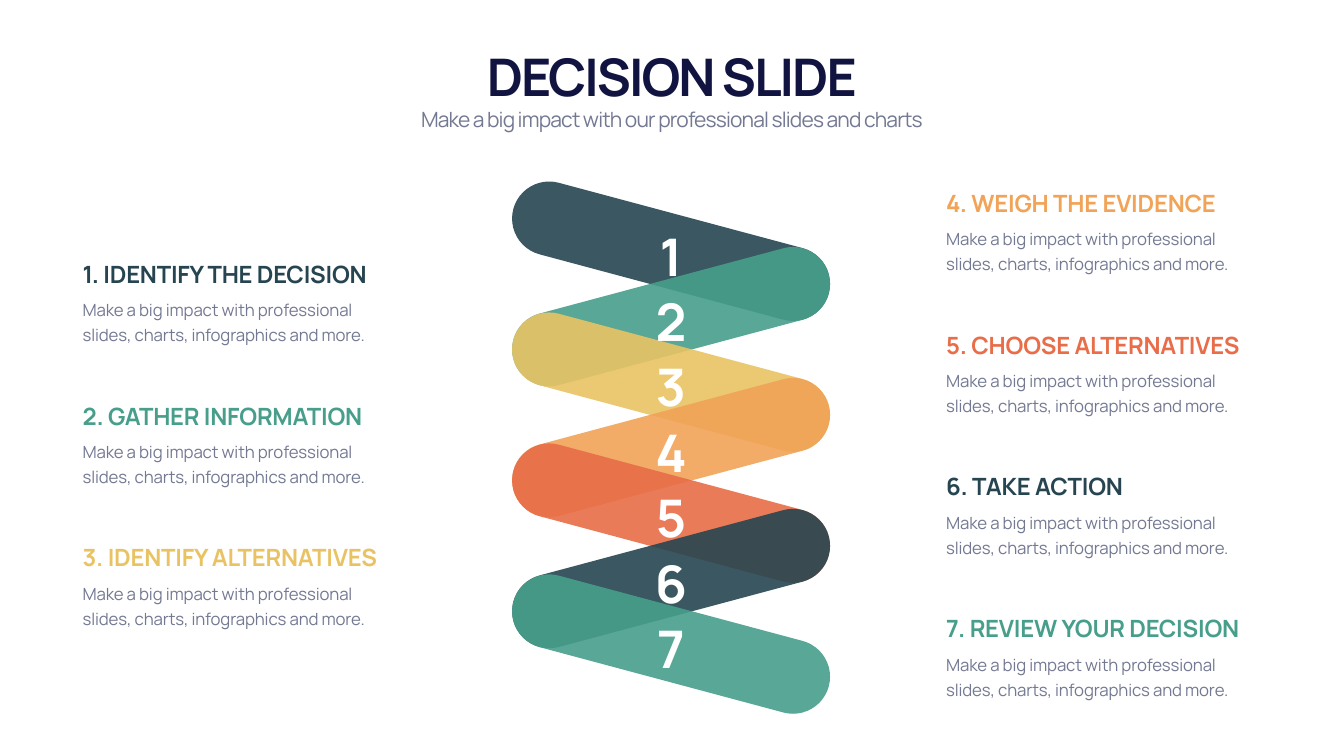
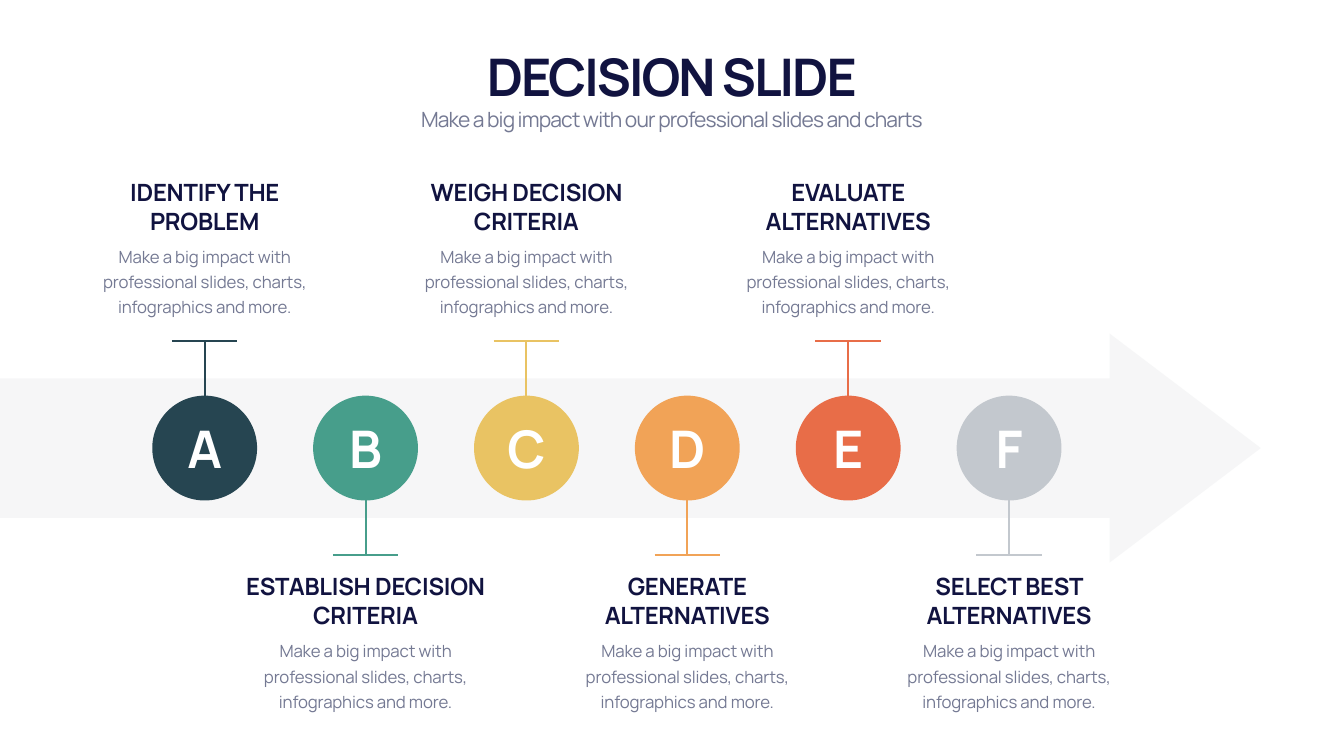
from dataclasses import dataclass

from lxml.etree import SubElement
from pptx import Presentation
from pptx.dml.color import RGBColor
from pptx.enum.shapes import MSO_CONNECTOR, MSO_SHAPE
from pptx.enum.text import MSO_ANCHOR, MSO_AUTO_SIZE, PP_ALIGN
from pptx.oxml.ns import qn
from pptx.util import Inches, Pt

# Slide size, divided into a grid of 100 columns and 100 rows
WIDTH, HEIGHT = Inches(26.66), Inches(15)
COLUMN, ROW = WIDTH / 100, HEIGHT / 100

FONT = "Manrope"
NAVY = RGBColor(0x11, 0x13, 0x40)
GRAY = RGBColor(0x74, 0x79, 0x93)
WHITE = RGBColor(0xFF, 0xFF, 0xFF)
SLATE = RGBColor(0x26, 0x45, 0x51)
GREEN = RGBColor(0x47, 0x9E, 0x8B)
YELLOW = RGBColor(0xE9, 0xC3, 0x63)
ORANGE = RGBColor(0xF1, 0xA3, 0x57)
RED = RGBColor(0xE8, 0x6D, 0x48)
SILVER = RGBColor(0xC3, 0xC8, 0xCE)

# Text formats shared by both slides
TITLE = dict(size=74, color=NAVY, bold=True, spacing=-2.9)
SUBTITLE = dict(size=30, color=GRAY, spacing=-1.2)
HEADING = dict(size=34, bold=True, spacing=-0.3, anchor=MSO_ANCHOR.BOTTOM)
BODY = dict(size=24, color=GRAY, spacing=-0.2, line=36)
SYMBOL = dict(size=74, color=WHITE, bold=True, spacing=-2.9,
              align=PP_ALIGN.CENTER, anchor=MSO_ANCHOR.MIDDLE)
SYMBOL_SIZE = (4.73, 9)

BODY_TEXT = ("Make a big impact with professional slides, charts, "
             "infographics and more.")

STEPS = [
    ("IDENTIFY THE DECISION", SLATE),
    ("GATHER INFORMATION", GREEN),
    ("IDENTIFY ALTERNATIVES", YELLOW),
    ("WEIGH THE EVIDENCE", ORANGE),
    ("CHOOSE ALTERNATIVES", RED),
    ("TAKE ACTION", SLATE),
    ("REVIEW YOUR DECISION", GREEN),
]

MILESTONES = [
    ("A", "IDENTIFY THE PROBLEM", SLATE),
    ("B", "ESTABLISH DECISION CRITERIA", GREEN),
    ("C", "WEIGH DECISION CRITERIA", YELLOW),
    ("D", "GENERATE ALTERNATIVES", ORANGE),
    ("E", "EVALUATE ALTERNATIVES", RED),
    ("F", "SELECT BEST ALTERNATIVES", SILVER),
]


@dataclass
class Box:
    """An area of the grid, in columns and rows."""
    left: float
    top: float
    width: float
    height: float

    def inner(self, left, top, width, height):
        return Box(self.left + left, self.top + top, width, height)

    def middle(self, width, height):
        return self.inner((self.width - width) / 2,
                          (self.height - height) / 2, width, height)

    def emu(self):
        return (round(self.left * COLUMN), round(self.top * ROW),
                round(self.width * COLUMN), round(self.height * ROW))


def add_text(page, box, text, *, size, color, bold=False, spacing=0,
             align=PP_ALIGN.LEFT, anchor=MSO_ANCHOR.TOP, line=None):
    frame = page.shapes.add_textbox(*box.emu()).text_frame
    frame.word_wrap = True
    frame.auto_size = MSO_AUTO_SIZE.SHAPE_TO_FIT_TEXT
    frame.vertical_anchor = anchor
    para = frame.paragraphs[0]
    para.alignment = align
    if line:
        para.line_spacing = Pt(line)
    span = para.add_run()
    span.text = text
    span.font.name = FONT
    span.font.size = Pt(size)
    span.font.bold = bold
    span.font.color.rgb = color
    span._r.get_or_add_rPr().set("spc", str(round(spacing * 100)))


def add_solid(page, kind, box, color, opacity=100):
    shape = page.shapes.add_shape(kind, *box.emu())
    shape.shadow.inherit = False
    shape.line.fill.background()
    shape.fill.solid()
    shape.fill.fore_color.rgb = color
    if opacity < 100:
        tint = shape._element.spPr.find(qn("a:solidFill"))[0]
        SubElement(tint, qn("a:alpha"), val=str(opacity * 1000))
    return shape


def add_line(page, start, end, color):
    (x1, y1), (x2, y2) = start, end
    line = page.shapes.add_connector(
        MSO_CONNECTOR.STRAIGHT, round(x1 * COLUMN), round(y1 * ROW),
        round(x2 * COLUMN), round(y2 * ROW))
    line.line.color.rgb = color
    line.line.width = Pt(3)
    SubElement(line._element.spPr, qn("a:effectLst"))


def add_header(page, box):
    add_text(page, box.inner(0, 0, box.width, 9), "DECISION SLIDE",
             align=PP_ALIGN.CENTER, anchor=MSO_ANCHOR.BOTTOM, **TITLE)
    add_text(page, box.inner(0, 8.33, box.width, 4.07),
             "Make a big impact with our professional slides and charts",
             align=PP_ALIGN.CENTER, **SUBTITLE)


def add_label(page, box, heading, color, heading_height, align):
    """Heading with the body text below it."""
    body_top = heading_height + 0.25
    add_text(page, box.inner(0, 0, box.width, heading_height), heading,
             color=color, align=align, **HEADING)
    add_text(page, box.inner(0, body_top, box.width, box.height - body_top),
             BODY_TEXT, align=align, **BODY)


def add_spiral(page, box, pitch=8.66):
    """Zigzag of tilted translucent pills with a number on each."""
    pills = [box.inner(0, i * pitch, box.width, 9.8)
             for i in range(len(STEPS))]
    for i, (pill, (_, color)) in enumerate(zip(pills, STEPS)):
        shape = add_solid(page, MSO_SHAPE.ROUNDED_RECTANGLE, pill, color, 90)
        shape.adjustments[0] = 0.5
        shape.rotation = -15 if i % 2 else 15
    for number, pill in enumerate(pills, 1):
        place = pill.middle(*SYMBOL_SIZE).inner(0, 0.54, *SYMBOL_SIZE)
        add_text(page, place, str(number), **SYMBOL)


def add_step_list(page, box, steps, first, pitch=18.76):
    for i, (heading, color) in enumerate(steps):
        add_label(page, box.inner(0, i * pitch, box.width, 12.07),
                  f"{first + i}. {heading}", color, 4.5, PP_ALIGN.LEFT)


def add_milestone(page, box, letter, heading, color, above):
    """Circle in the middle of the box, with its label above or below."""
    circle = box.middle(7.8, 13.87)
    add_solid(page, MSO_SHAPE.OVAL, circle, color)
    add_text(page, circle.middle(*SYMBOL_SIZE), letter, **SYMBOL)

    # T-shaped stem from the circle to the label
    center_x = box.left + box.width / 2
    center_y = box.top + box.height / 2
    side = -1 if above else 1
    bar_y = center_y + side * 14.13
    add_line(page, (center_x, bar_y), (center_x, center_y + side * 6.93), color)
    add_line(page, (center_x - 2.44, bar_y), (center_x + 2.44, bar_y), color)

    label_top = 0 if above else 52.15
    add_label(page, box.inner(0, label_top, box.width, 19.13), heading, NAVY,
              8.33, PP_ALIGN.CENTER)


def add_timeline(page, box, pitch=11.97):
    arrow = add_solid(page, MSO_SHAPE.RIGHT_ARROW,
                      box.middle(box.width, 30.27), SILVER, 15)
    arrow.adjustments[0] = 0.61  # shaft share of the height
    arrow.adjustments[1] = 0.66  # head length share of the height
    for i, (letter, heading, color) in enumerate(MILESTONES):
        add_milestone(page, box.inner(5.57 + i * pitch, 0, 19.32, box.height),
                      letter, heading, color, above=i % 2 == 0)


def new_page(deck):
    page = deck.slides.add_slide(deck.slide_layouts[6])
    add_header(page, Box(6.23, 5.47, 87.51, 12.4))
    return page


def build_spiral_slide(deck):
    page = new_page(deck)
    add_spiral(page, Box(37.78, 28.33, 24.3, 61.76))
    add_step_list(page, Box(5.78, 33.93, 24.27, 49.59), STEPS[:3], 1)
    add_step_list(page, Box(70.03, 24.53, 24.27, 68.35), STEPS[3:], 4)


def build_timeline_slide(deck):
    page = new_page(deck)
    add_timeline(page, Box(0, 23.07, 93.81, 72.4))


def main():
    deck = Presentation()
    deck.slide_width, deck.slide_height = WIDTH, HEIGHT
    build_spiral_slide(deck)
    build_timeline_slide(deck)
    deck.save("out.pptx")


if __name__ == "__main__":
    main()
